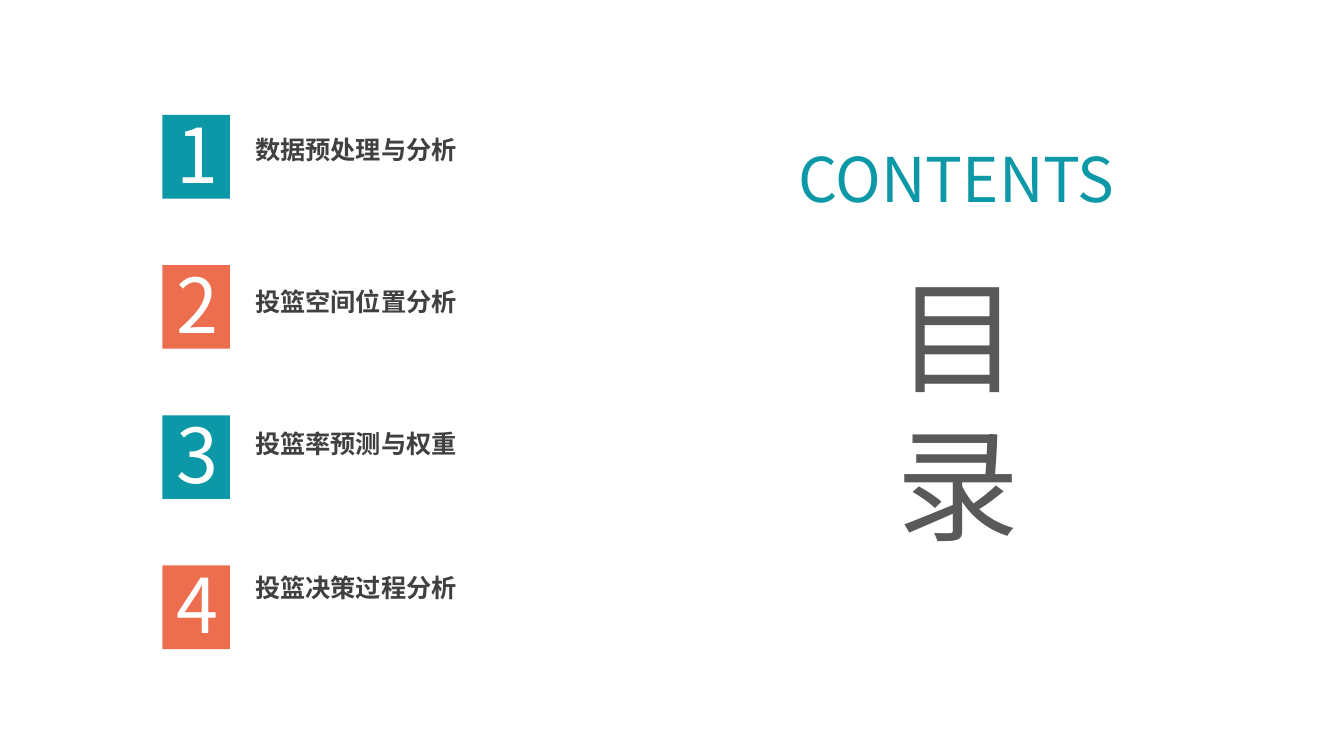
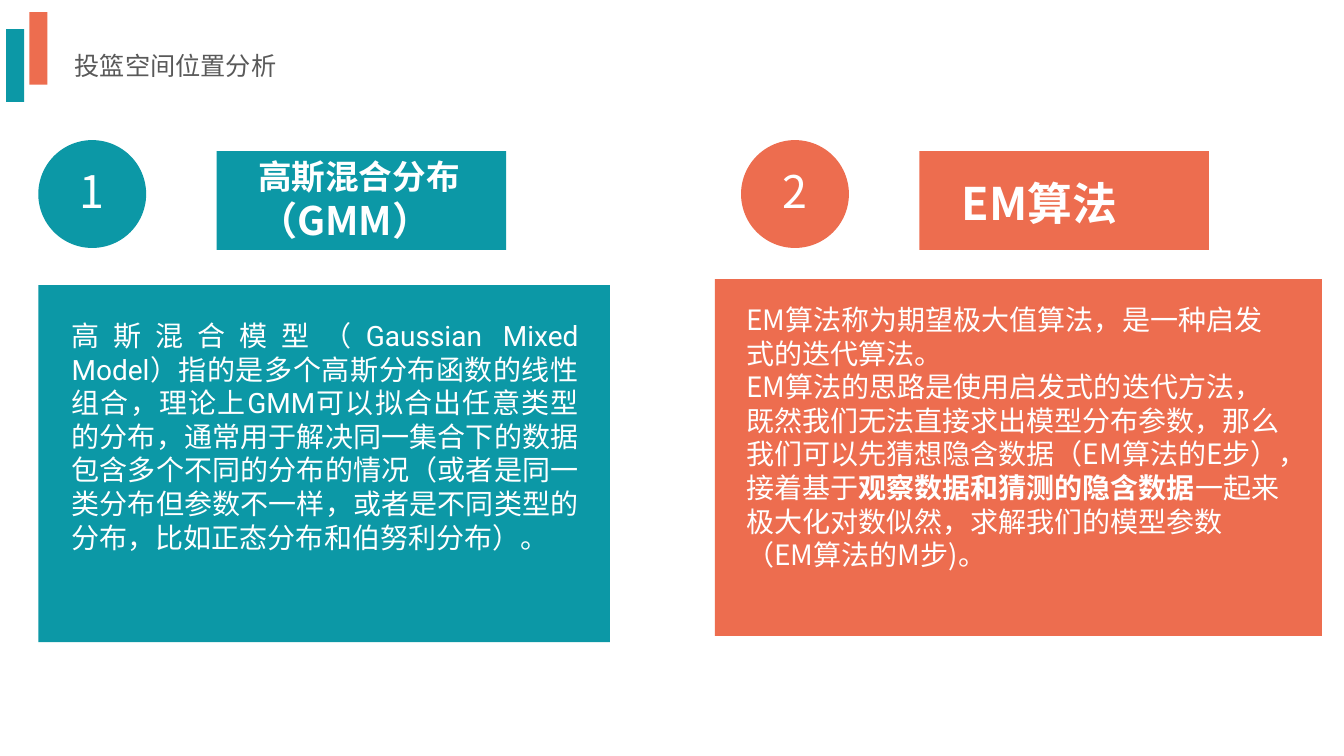
from lxml import etree
from pptx import Presentation
from pptx.dml.color import RGBColor
from pptx.enum import shapes, text
from pptx.oxml import ns
from pptx.util import Inches, Pt

TEAL, CORAL = "0C98A6", "ED6D4F"
WHITE, GREY, DARK = "FFFFFF", "595959", "404040"
FONT = "Noto Sans CJK SC"
ALIGN, ANCHOR, SHAPE = text.PP_ALIGN, text.MSO_ANCHOR, shapes.MSO_SHAPE


def color(code):
    return RGBColor.from_string(code)


def write(box, paras, size=20, ink=WHITE, font=FONT, bold=False,
          align=ALIGN.LEFT, anchor=ANCHOR.TOP, inset=None, spacing=1, gaps=()):
    """Fill a box with paragraphs: each a string or a list of (text, changes)."""
    frame = box.text_frame
    frame.word_wrap = True
    frame.auto_size = text.MSO_AUTO_SIZE.NONE
    frame.vertical_anchor = anchor
    if inset:
        (frame.margin_left, frame.margin_top,
         frame.margin_right, frame.margin_bottom) = map(Inches, inset)
    for i, runs in enumerate(paras):
        para = frame.add_paragraph() if i else frame.paragraphs[0]
        para.alignment, para.line_spacing = align, spacing
        para.space_before = Pt(gaps[i] if gaps else 0)
        props = para._p.get_or_add_pPr()
        props.set("marL", "0")
        props.set("indent", "0")
        etree.SubElement(props, ns.qn("a:buNone"))
        for words, diff in [(runs, {})] if isinstance(runs, str) else runs:
            run = para.add_run()
            run.text = words
            run.font.size = Pt(diff.get("size", size))
            run.font.bold = diff.get("bold", bold)
            run.font.color.rgb = color(ink)
            run.font.name = font
            east = etree.SubElement(run._r.get_or_add_rPr(), ns.qn("a:ea"))
            east.set("typeface", FONT)


def block(slide, kind, place, fill):
    shape = slide.shapes.add_shape(kind, *map(Inches, place))
    shape.shadow.inherit = False
    shape.fill.solid()
    shape.fill.fore_color.rgb = color(fill)
    shape.line.fill.background()
    return shape


def label(slide, place, paras, **style):
    write(slide.shapes.add_textbox(*map(Inches, place)), paras, **style)


def fill_in(slide, idx, place, paras, **style):
    """Place a template placeholder in front of the shapes and fill it."""
    holder = next(p for p in slide.placeholders
                  if p.placeholder_format.idx == idx)
    holder.left, holder.top, holder.width, holder.height = map(Inches, place)
    slide.shapes._spTree.append(holder._element)
    write(holder, paras, **style)


def contents(deck):
    slide = deck.slides.add_slide(deck.slide_layouts[1])
    label(slide, (7.82, 1.35, 4.11, 0.84), ["CONTENTS"],
          size=44, ink=TEAL, align=ALIGN.JUSTIFY)
    fill_in(slide, 0, (8.79, 2.53, 1.73, 3.06), ["目", "录"],
            size=88, ink=GREY, align=ALIGN.JUSTIFY)
    for i in range(4):
        tile = block(slide, SHAPE.RECTANGLE, (1.61, 1.14 + 1.49 * i, 0.67, 0.83),
                     (TEAL, CORAL)[i % 2])
        write(tile, [str(i + 1)], size=54, align=ALIGN.CENTER,
              anchor=ANCHOR.MIDDLE, inset=(0.02, 0, 0, 0.07))
    topics = ["数据预处理与分析", "投篮空间位置分析",
              "投篮率预测与权重", "投篮决策过程分析"]
    fill_in(slide, 1, (2.43, 1.28, 2.33, 4.93), topics,
            size=18, ink=DARK, bold=True, gaps=(0, 87, 80, 81))


def header(slide, title):
    block(slide, SHAPE.RECTANGLE, (0.29, 0.12, 0.18, 0.72), CORAL)
    block(slide, SHAPE.RECTANGLE, (0.06, 0.29, 0.18, 0.72), TEAL)
    fill_in(slide, 0, (0.64, 0.45, 2.33, 0.4), [title],
            size=18, ink=GREY, align=ALIGN.JUSTIFY)


def column(slide, num, fill, panel):
    """Draw the numbered circle, heading band and panel of one method."""
    left = 6.97 * (num - 1)
    block(slide, SHAPE.RECTANGLE, (2.15 + left, 1.5, 2.87, 0.98), fill)
    disc = block(slide, SHAPE.OVAL, (0.38 + left, 1.39, 1.07, 1.07), fill)
    write(disc, [str(num)], size=32, align=ALIGN.CENTER,
          anchor=ANCHOR.MIDDLE, inset=(0, 0, 0, 0), spacing=0.9)
    block(slide, SHAPE.RECTANGLE, panel, fill)


def methods(deck):
    slide = deck.slides.add_slide(deck.slide_layouts[4])
    header(slide, "投篮空间位置分析")
    column(slide, 1, TEAL, (0.38, 2.83, 5.67, 3.54))
    column(slide, 2, CORAL, (7.09, 2.77, 6.02, 3.54))
    fill_in(slide, 1, (2.46, 1.5, 3.24, 1.2),
            [[("高斯混合分布", {}), ("（GMM）", {"size": 28})]],
            size=24, bold=True)
    fill_in(slide, 2, (0.61, 3.11, 5.23, 3.47), [
        "高斯混合模型（Gaussian Mixed Model）指的是多个高斯分布函数的线性组合，"
        "理论上GMM可以拟合出任意类型的分布，通常用于解决同一集合下的数据包含"
        "多个不同的分布的情况（或者是同一类分布但参数不一样，或者是不同类型的"
        "分布，比如正态分布和伯努利分布）。"], font="Roboto", align=ALIGN.JUSTIFY)
    fill_in(slide, 3, (9.44, 1.69, 3.24, 0.8), ["EM算法"], size=32, bold=True)
    fill_in(slide, 4, (7.3, 2.95, 5.51, 3.47), [
        "EM算法称为期望极大值算法，是一种启发式的迭代算法。",
        [("EM算法的思路是使用启发式的迭代方法，既然我们无法直接求出模型分布参数，"
          "那么我们可以先猜想隐含数据（EM算法的E步），接着基于", {}),
         ("观察数据和猜测的隐含数据", {"bold": True}),
         ("一起来极大化对数似然，求解我们的模型参数（EM算法的M步)。", {})]])


def main():
    deck = Presentation()
    deck.slide_width, deck.slide_height = Inches(13.33), Inches(7.5)
    contents(deck)
    methods(deck)
    deck.save("out.pptx")


if __name__ == "__main__":
    main()
